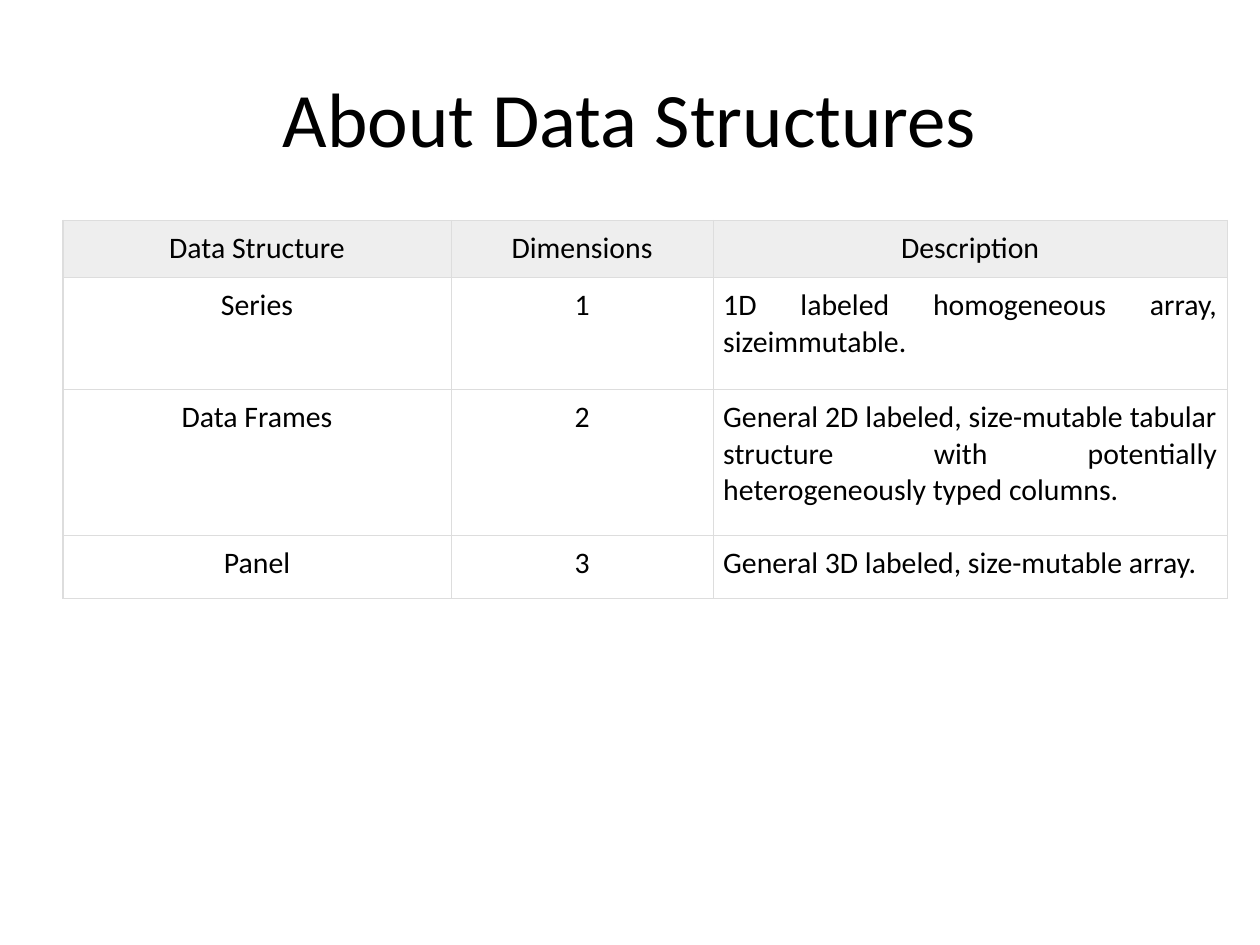
from lxml.etree import SubElement
from pptx import Presentation
from pptx.dml.color import RGBColor
from pptx.enum.text import MSO_ANCHOR, PP_ALIGN
from pptx.oxml.ns import qn
from pptx.util import Inches, Pt

FONT = "Calibri"
BLACK = RGBColor(0x00, 0x00, 0x00)
HEADER_GREY = RGBColor(0xEE, 0xEE, 0xEE)
BORDER_GREY = RGBColor(0xDD, 0xDD, 0xDD)

SLIDE_WIDTH, SLIDE_HEIGHT = Inches(10), Inches(7.5)
MARGIN = 0.05
COLUMN_WIDTHS = (3.08, 2.08, 4.08)
ROW_HEIGHTS = (0.45, 0.89, 1.16, 0.5)
STRUCTURES = (
    ("Data Structure", "Dimensions", "Description"),
    ("Series", "1", "1D labeled homogeneous array, sizeimmutable."),
    ("Data Frames", "2", "General 2D labeled, size-mutable tabular structure "
     "with potentially heterogeneously typed columns."),
    ("Panel", "3", "General 3D labeled, size-mutable array."),
)


def write_text(text_frame, text, size, alignment):
    """Write one paragraph in the slide's font."""
    text_frame.text = text
    paragraph = text_frame.paragraphs[0]
    paragraph.alignment = alignment
    font = paragraph.runs[0].font
    font.name, font.size = FONT, Pt(size)
    font.color.rgb = BLACK


def add_title(slide, text):
    """Add the centred heading across the top of the slide."""
    heading = slide.shapes.add_textbox(
        int(SLIDE_WIDTH * MARGIN), int(SLIDE_HEIGHT * 0.04),
        int(SLIDE_WIDTH * (1 - 2 * MARGIN)), Inches(1.25))
    heading.text_frame.word_wrap = True
    heading.text_frame.vertical_anchor = MSO_ANCHOR.MIDDLE
    write_text(heading.text_frame, text, 44, PP_ALIGN.CENTER)


def add_borders(cell):
    """Draw a thin grey line on all four sides of a cell."""
    properties = cell._tc.get_or_add_tcPr()
    for side in ("lnL", "lnR", "lnT", "lnB"):
        line = SubElement(properties, qn(f"a:{side}"), w=str(Pt(0.75)))
        fill = SubElement(line, qn("a:solidFill"))
        SubElement(fill, qn("a:srgbClr"), val=str(BORDER_GREY))


def format_cell(cell, text, is_header, alignment):
    """Fill in one table cell with its text, borders and background."""
    cell.margin_left = cell.margin_right = Inches(0.08)
    cell.margin_top = cell.margin_bottom = Inches(0.08)
    write_text(cell.text_frame, text, 17, alignment)
    add_borders(cell)
    if is_header:
        cell.fill.solid()
        cell.fill.fore_color.rgb = HEADER_GREY
    else:
        cell.fill.background()


def add_structure_table(slide):
    """Add the table of data structures, with justified descriptions."""
    table = slide.shapes.add_table(
        len(ROW_HEIGHTS), len(COLUMN_WIDTHS),
        int(SLIDE_WIDTH * MARGIN), Inches(1.75),
        Inches(sum(COLUMN_WIDTHS)), Inches(sum(ROW_HEIGHTS))).table
    for column, width in zip(table.columns, COLUMN_WIDTHS):
        column.width = Inches(width)
    for row, height in zip(table.rows, ROW_HEIGHTS):
        row.height = Inches(height)
    description = len(COLUMN_WIDTHS) - 1
    for row, structure in enumerate(STRUCTURES):
        for column, text in enumerate(structure):
            justified = row > 0 and column == description
            alignment = PP_ALIGN.JUSTIFY if justified else PP_ALIGN.CENTER
            format_cell(table.cell(row, column), text, row == 0, alignment)


def main():
    """Build and save the slide."""
    presentation = Presentation()
    presentation.slide_width = SLIDE_WIDTH
    presentation.slide_height = SLIDE_HEIGHT
    slide = presentation.slides.add_slide(presentation.slide_layouts[6])
    add_title(slide, "About Data Structures")
    add_structure_table(slide)
    presentation.save("out.pptx")


if __name__ == "__main__":
    main()
